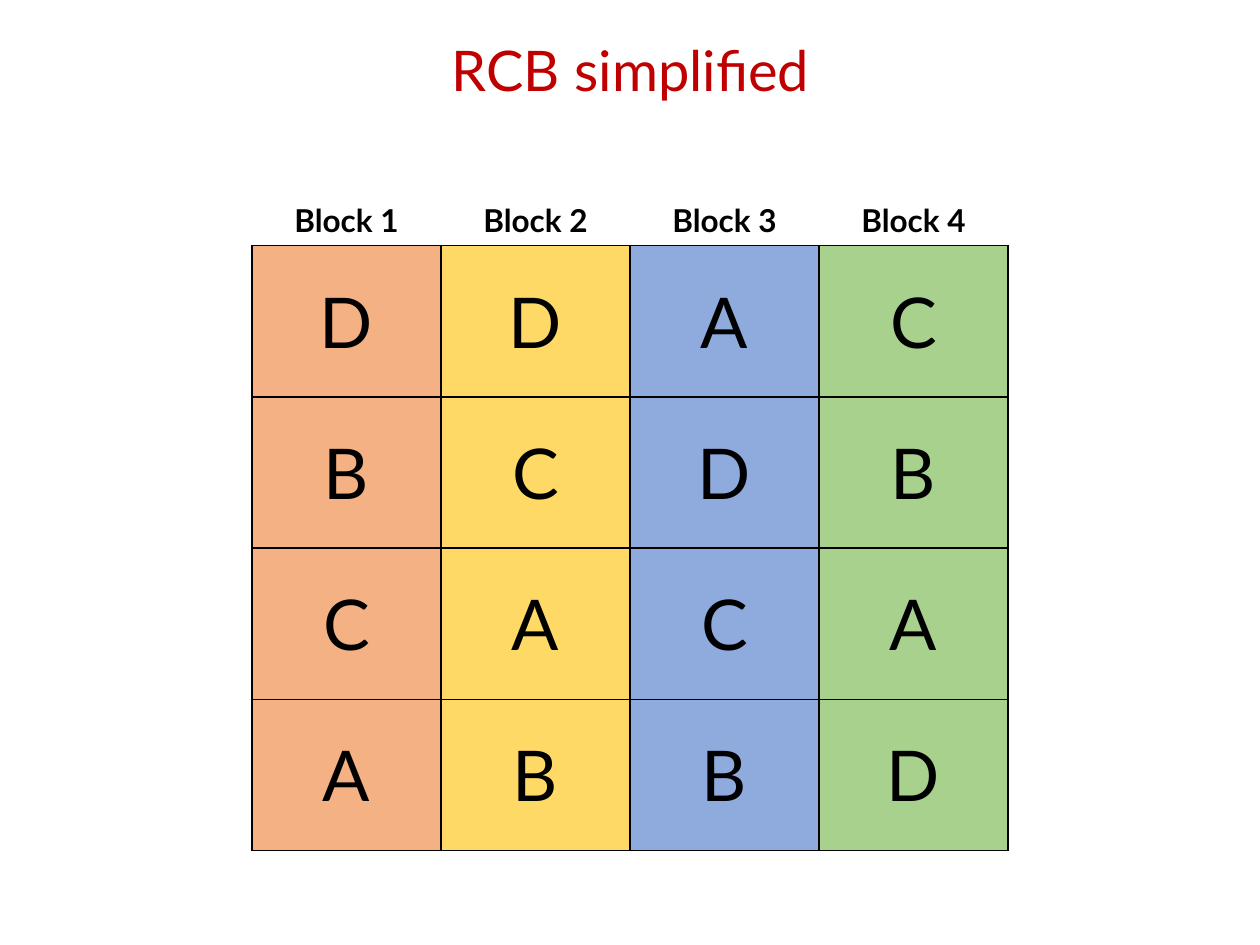
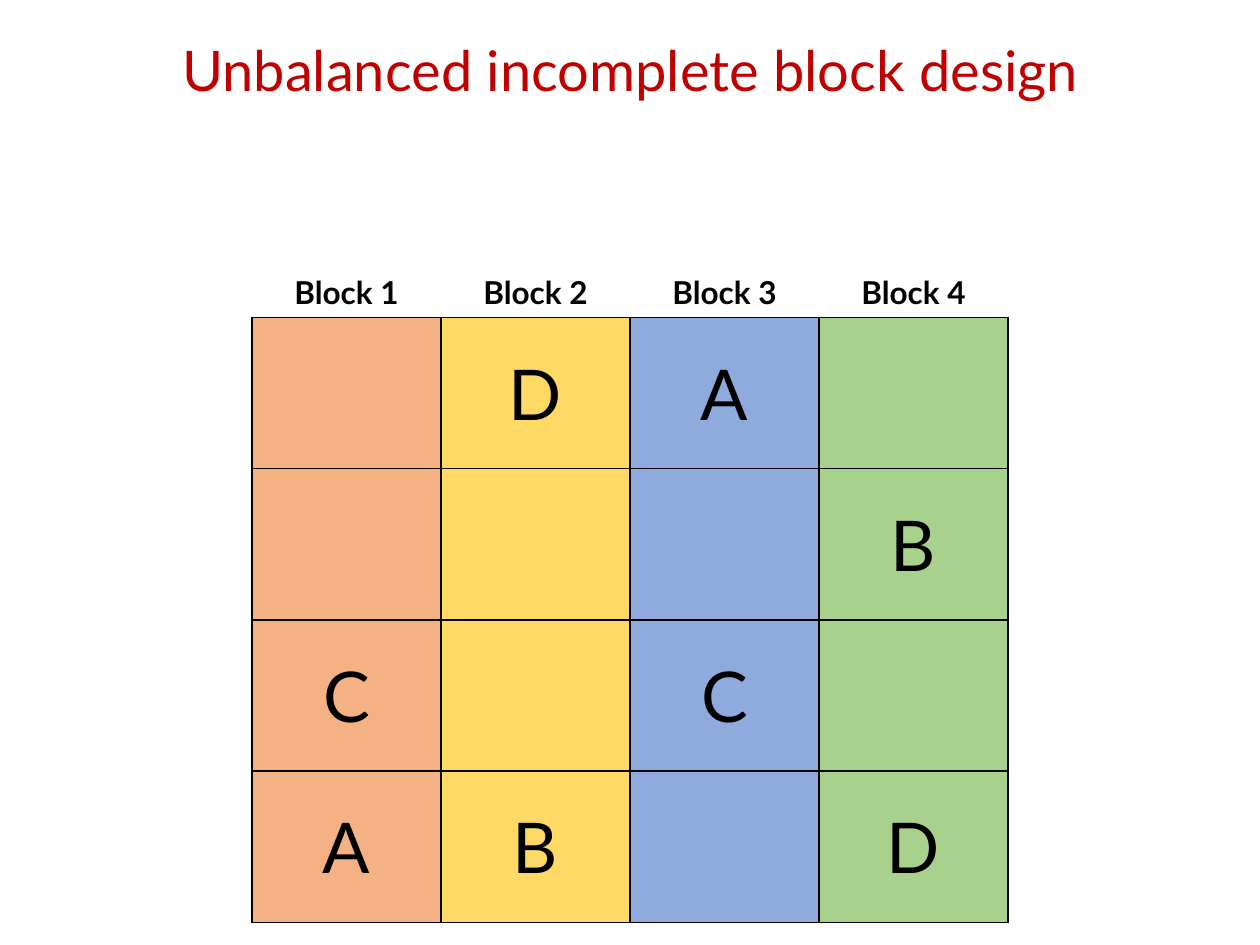
from lxml.etree import SubElement
from pptx import Presentation
from pptx.dml.color import RGBColor
from pptx.enum.text import MSO_ANCHOR, PP_ALIGN
from pptx.oxml import parse_xml
from pptx.oxml.ns import nsdecls, qn
from pptx.util import Inches, Pt

COLORS = {
    "title": "C00000",
    "text": "000000",
    "border": "000000",
    "frame": "FFFFFF",
    "block 1": "F4B183",
    "block 2": "FFD966",
    "block 3": "8FAADC",
    "block 4": "A9D18E",
}
FORMATS = {
    "title": {"name": "Lato", "size": Pt(32), "bold": False},
    "heading": {"name": "Lato", "size": Pt(18), "bold": True},
    "treatment": {"name": "Lato", "size": Pt(40), "bold": False},
}
BLOCKS = ["Block 1", "Block 2", "Block 3", "Block 4"]
GRID_COLUMNS, GRID_ROWS = 100, 75
CELL_COLUMNS, CELL_ROWS = 15, 12


def color(name):
    return RGBColor.from_string(COLORS[name])


class BlockDesignDeck:
    def __init__(self):
        self.presentation = Presentation()
        self.presentation.slide_width = Inches(10)
        self.presentation.slide_height = Inches(7.5)
        self.slide = None

    def across(self, columns):
        return round(self.presentation.slide_width * columns / GRID_COLUMNS)

    def down(self, rows):
        return round(self.presentation.slide_height * rows / GRID_ROWS)

    def add_text(self, paragraph, text, style, color_name):
        paragraph.alignment = PP_ALIGN.CENTER
        run = paragraph.add_run()
        run.text = text
        for attribute, value in FORMATS[style].items():
            setattr(run.font, attribute, value)
        run.font.color.rgb = color(color_name)

    def add_slide(self, title):
        self.slide = self.presentation.slides.add_slide(self.presentation.slide_layouts[5])
        shape = self.slide.shapes.title
        place = {
            "left": self.across(1),
            "top": self.down(0.8),
            "width": self.across(98.1),
            "height": self.down(10),
        }
        for attribute, value in place.items():
            setattr(shape, attribute, value)
        shape.line.color.rgb = color("frame")
        shape.line.width = Pt(4.5)
        shape.text_frame.vertical_anchor = MSO_ANCHOR.MIDDLE
        paragraph = shape.text_frame.paragraphs[0]
        paragraph.line_spacing = 0.9
        self.add_text(paragraph, title, "title", "title")

    def set_borders(self, cell, visible):
        properties = cell._tc.get_or_add_tcPr()
        for position, side in enumerate("LRTB"):
            border = parse_xml(f'<a:ln{side} {nsdecls("a")} w="{Pt(1)}"/>')
            if side in visible:
                fill = SubElement(border, qn("a:solidFill"))
                SubElement(fill, qn("a:srgbClr"), val=COLORS["border"])
            else:
                SubElement(border, qn("a:noFill"))
            properties.insert(position, border)

    def add_cell(self, cell, text, style, anchor, borders):
        cell.vertical_anchor = anchor
        if text.strip():
            self.add_text(cell.text_frame.paragraphs[0], text, style, "text")
        self.set_borders(cell, borders)

    def add_design(self, top, treatments):
        row_count, column_count = len(treatments) + 1, len(BLOCKS)
        table = self.slide.shapes.add_table(
            row_count, column_count,
            self.across((GRID_COLUMNS - column_count * CELL_COLUMNS) / 2), self.down(top),
            self.across(column_count * CELL_COLUMNS), self.down(row_count * CELL_ROWS),
        ).table
        table.first_row = table.horz_banding = False
        for row in table.rows:
            row.height = self.down(CELL_ROWS)
        for column, block in enumerate(BLOCKS):
            table.columns[column].width = self.across(CELL_COLUMNS)
            heading = table.cell(0, column)
            heading.fill.background()
            self.add_cell(heading, block, "heading", MSO_ANCHOR.BOTTOM, "B")
            for row, letters in enumerate(treatments, 1):
                cell = table.cell(row, column)
                cell.fill.solid()
                cell.fill.fore_color.rgb = color(block.lower())
                self.add_cell(cell, letters[column], "treatment", MSO_ANCHOR.MIDDLE, "LRTB")


deck = BlockDesignDeck()
designs = [
    ("RCB simplified", 7.5, ["DDAC", "BCDB", "CACA", "ABBD"]),
    ("Unbalanced incomplete block design", 13.2, [" DA ", "   B", "C C ", "AB D"]),
]
for title, top, treatments in designs:
    deck.add_slide(title)
    deck.add_design(top, treatments)
deck.presentation.save("out.pptx")
